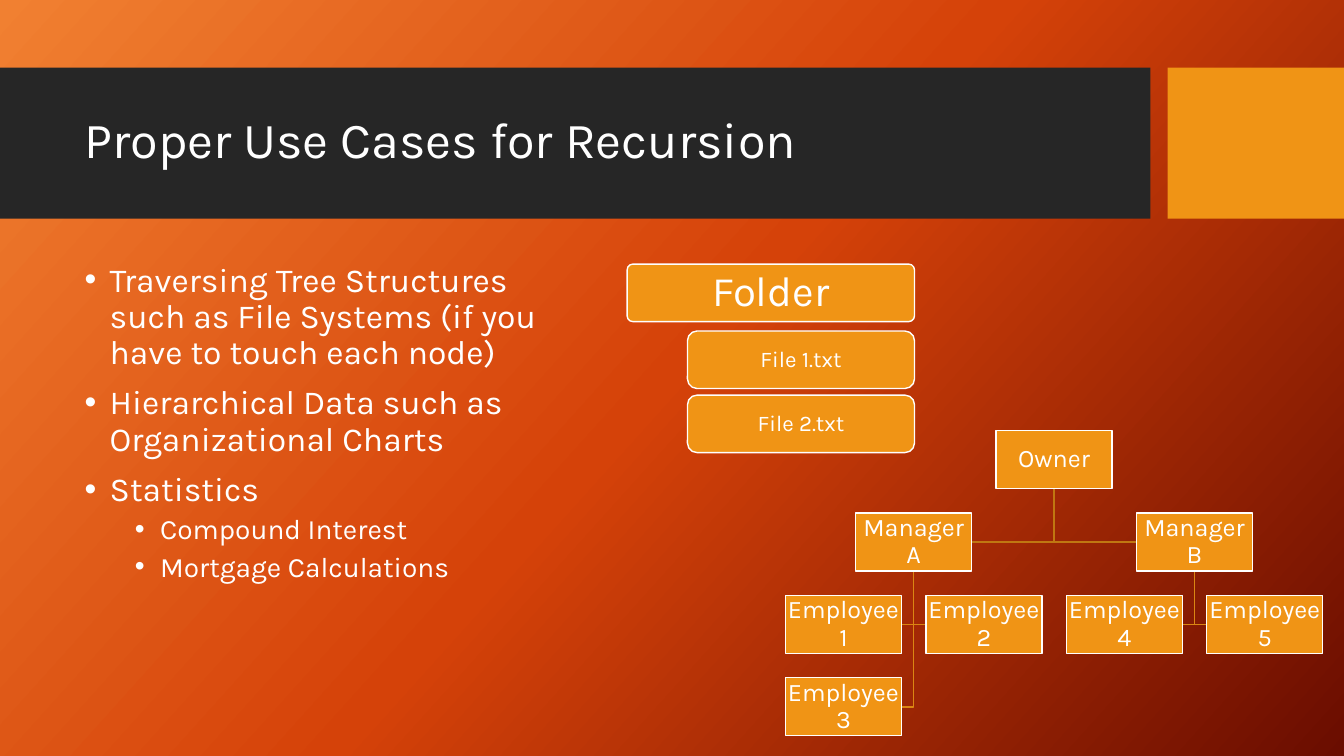
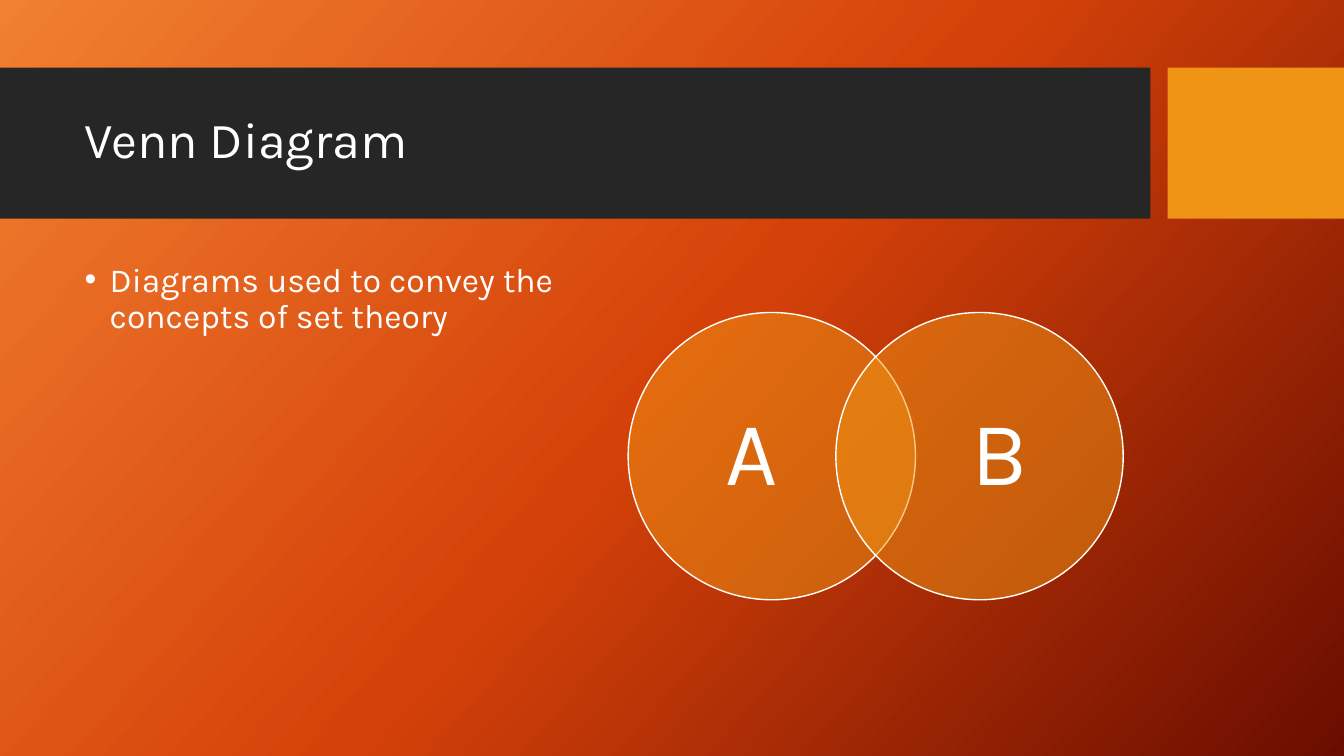
from copy import deepcopy
from dataclasses import dataclass

from lxml import etree
from pptx import Presentation
from pptx import util as u
from pptx.dml.color import RGBColor
from pptx.enum import shapes, text
from pptx.oxml import ns

ORANGE = RGBColor(0xF0, 0x94, 0x15)
CHARCOAL = RGBColor(0x26, 0x26, 0x26)
WHITE = RGBColor(0xFF, 0xFF, 0xFF)
OWNER_LINE = RGBColor(0xC0, 0x77, 0x11)
MANAGER_LINE = RGBColor(0xDA, 0x86, 0x13)
BACKGROUND_STOPS = [
    (0, RGBColor(0xF1, 0x80, 0x31)),
    (0.5, RGBColor(0xD5, 0x42, 0x09)),
    (1, RGBColor(0x6A, 0x0D, 0x00)),
]
FONT = "Karla"
BULLET_STYLES = [(0.25, 24, 10), (0.75, 20, 5)]


@dataclass
class Box:
    left: float
    top: float
    width: float
    height: float

    @property
    def center(self):
        return self.left + self.width / 2

    @property
    def middle(self):
        return self.top + self.height / 2

    @property
    def right(self):
        return self.left + self.width

    @property
    def bottom(self):
        return self.top + self.height

    def lengths(self):
        return [u.Inches(n) for n in (self.left, self.top, self.width, self.height)]


BAND = Box(0, 0.67, 11.41, 1.5)
ACCENT = Box(11.58, 0.67, 1.75, 1.5)
TITLE = Box(0.74, 0.82, 10.51, 1.18)
BODY = Box(0.74, 2.56, 5.14, 3.94)


def style_paragraph(paragraph, size, align=None):
    paragraph.line_spacing = 0.9
    paragraph.alignment = align
    font = paragraph.font
    font.name, font.size = FONT, u.Pt(size)
    font.color.rgb = WHITE


def add_block(slide, kind, box, color, outlined=True):
    shape = slide.shapes.add_shape(kind, *box.lengths())
    shape.shadow.inherit = False
    shape.fill.solid()
    shape.fill.fore_color.rgb = color
    if outlined:
        shape.line.color.rgb = WHITE
        shape.line.width = u.Pt(1)
    else:
        shape.line.fill.background()
    return shape


def add_label(shape, label, size, insets):
    frame = shape.text_frame
    frame.word_wrap = True
    frame.vertical_anchor = text.MSO_ANCHOR.MIDDLE
    frame.margin_left, frame.margin_top, frame.margin_right, frame.margin_bottom = map(u.Inches, insets)
    frame.text = label
    style_paragraph(frame.paragraphs[0], size, text.PP_ALIGN.CENTER)


def paint_background(master):
    fill = master.background.fill
    fill.gradient()
    fill.gradient_angle = 360 - 42
    stop_list = master.element.find(".//" + ns.qn("a:gsLst"))
    stop_list.insert(1, deepcopy(stop_list[0]))
    for stop, (position, color) in zip(fill.gradient_stops, BACKGROUND_STOPS):
        stop.position = position
        stop.color.rgb = color


def add_titled_slide(presentation, title, bullets):
    slide = presentation.slides.add_slide(presentation.slide_layouts[6])
    for box, color in ((BAND, CHARCOAL), (ACCENT, ORANGE)):
        add_block(slide, shapes.MSO_SHAPE.RECTANGLE, box, color, outlined=False)
    frame = slide.shapes.add_textbox(*TITLE.lengths()).text_frame
    frame.word_wrap = True
    frame.vertical_anchor = text.MSO_ANCHOR.MIDDLE
    frame.text = title
    style_paragraph(frame.paragraphs[0], 36)
    add_bullets(slide, BODY, bullets)
    return slide


def add_bullets(slide, box, bullets):
    frame = slide.shapes.add_textbox(*box.lengths()).text_frame
    frame.word_wrap = True
    frame.text = "\n".join(words for level, words in bullets)
    for paragraph, (level, words) in zip(frame.paragraphs, bullets):
        indent, size, space = BULLET_STYLES[level]
        paragraph.level = level
        properties = paragraph._p.get_or_add_pPr()
        properties.set("marL", str(u.Inches(indent)))
        properties.set("indent", str(u.Inches(-0.25)))
        etree.SubElement(properties, ns.qn("a:buFont"), typeface="Arial")
        etree.SubElement(properties, ns.qn("a:buChar"), char="•")
        paragraph.space_before = u.Pt(space)
        style_paragraph(paragraph, size)


def add_folder_list(slide, box, folder, files):
    row_height, row_pitch, indent = box.height * 0.305, box.height * 0.34, box.width * 0.21
    first_file = box.bottom - row_height - row_pitch * (len(files) - 1)
    rows = [(folder, Box(box.left, box.top, box.width, row_height), 0.1, 30, 0.06)]
    for index, name in enumerate(files):
        row = Box(box.left + indent, first_file + index * row_pitch, box.width - indent, row_height)
        rows.append((name, row, 0.167, 16, 0.12))
    for label, row, rounding, size, inset in rows:
        shape = add_block(slide, shapes.MSO_SHAPE.ROUNDED_RECTANGLE, row, ORANGE)
        shape.adjustments[0] = rounding
        add_label(shape, label, size, [inset, 0.04] * 2)


def add_branch(slide, parent, child, color):
    side = child.right if child.center < parent.center else child.left
    corners = [(parent.center, parent.bottom), (parent.center, child.middle), (side, child.middle)]
    start, *others = [(u.Inches(x), u.Inches(y)) for x, y in corners]
    builder = slide.shapes.build_freeform(*start)
    builder.add_line_segments(others, close=False)
    branch = builder.convert_to_shape()
    branch.shadow.inherit = False
    branch.fill.background()
    branch.line.color.rgb = color
    branch.line.width = u.Pt(1)


def add_org_chart(slide, box, members):
    node_width, node_height = box.width * 0.216, box.height * 0.19
    column_pitch = (box.width - node_width) / 3
    row_pitch = (box.height - node_height) / 3
    nodes = {
        name: Box(box.left + column * column_pitch, box.top + row * row_pitch, node_width, node_height)
        for name, column, row, manager in members
    }
    for name, column, row, manager in members:
        if manager:
            add_branch(slide, nodes[manager], nodes[name], OWNER_LINE if row == 1 else MANAGER_LINE)
    for name, node in nodes.items():
        shape = add_block(slide, shapes.MSO_SHAPE.RECTANGLE, node, ORANGE)
        add_label(shape, name, 18, [0.01] * 4)


def add_venn(slide, box, labels):
    diameter = box.height
    inset = diameter * 0.14
    circles = [
        (Box(box.left, box.top, diameter, diameter), [0, 0, inset, 0]),
        (Box(box.right - diameter, box.top, diameter, diameter), [inset, 0, 0, 0]),
    ]
    for label, (circle, insets) in zip(labels, circles):
        shape = add_block(slide, shapes.MSO_SHAPE.OVAL, circle, ORANGE)
        color = shape.element.spPr.find(ns.qn("a:solidFill"))[0]
        etree.SubElement(color, ns.qn("a:alpha"), val="50000")
        add_label(shape, label, 65, insets)


def build_recursion_slide(presentation):
    slide = add_titled_slide(presentation, "Proper Use Cases for Recursion", [
        (0, "Traversing Tree Structures such as File Systems (if you have to touch each node)"),
        (0, "Hierarchical Data such as Organizational Charts"),
        (0, "Statistics"),
        (1, "Compound Interest"),
        (1, "Mortgage Calculations"),
    ])
    add_org_chart(slide, Box(7.79, 4.27, 5.33, 3.03), [
        ("Owner", 1.5, 0, None),
        ("Manager A", 0.5, 1, "Owner"),
        ("Manager B", 2.5, 1, "Owner"),
        ("Employee 1", 0, 2, "Manager A"),
        ("Employee 2", 1, 2, "Manager A"),
        ("Employee 3", 0, 3, "Manager A"),
        ("Employee 4", 2, 2, "Manager B"),
        ("Employee 5", 3, 2, "Manager B"),
    ])
    add_folder_list(slide, Box(6.22, 2.62, 2.85, 1.87), "Folder", ["File 1.txt", "File 2.txt"])


def build_venn_slide(presentation):
    slide = add_titled_slide(presentation, "Venn Diagram", [
        (0, "Diagrams used to convey the concepts of set theory"),
    ])
    add_venn(slide, Box(6.23, 3.1, 4.91, 2.85), ["A", "B"])


def main():
    presentation = Presentation()
    presentation.slide_width = u.Inches(13.33)
    presentation.slide_height = u.Inches(7.5)
    paint_background(presentation.slide_master)
    build_recursion_slide(presentation)
    build_venn_slide(presentation)
    presentation.save("out.pptx")


if __name__ == "__main__":
    main()
